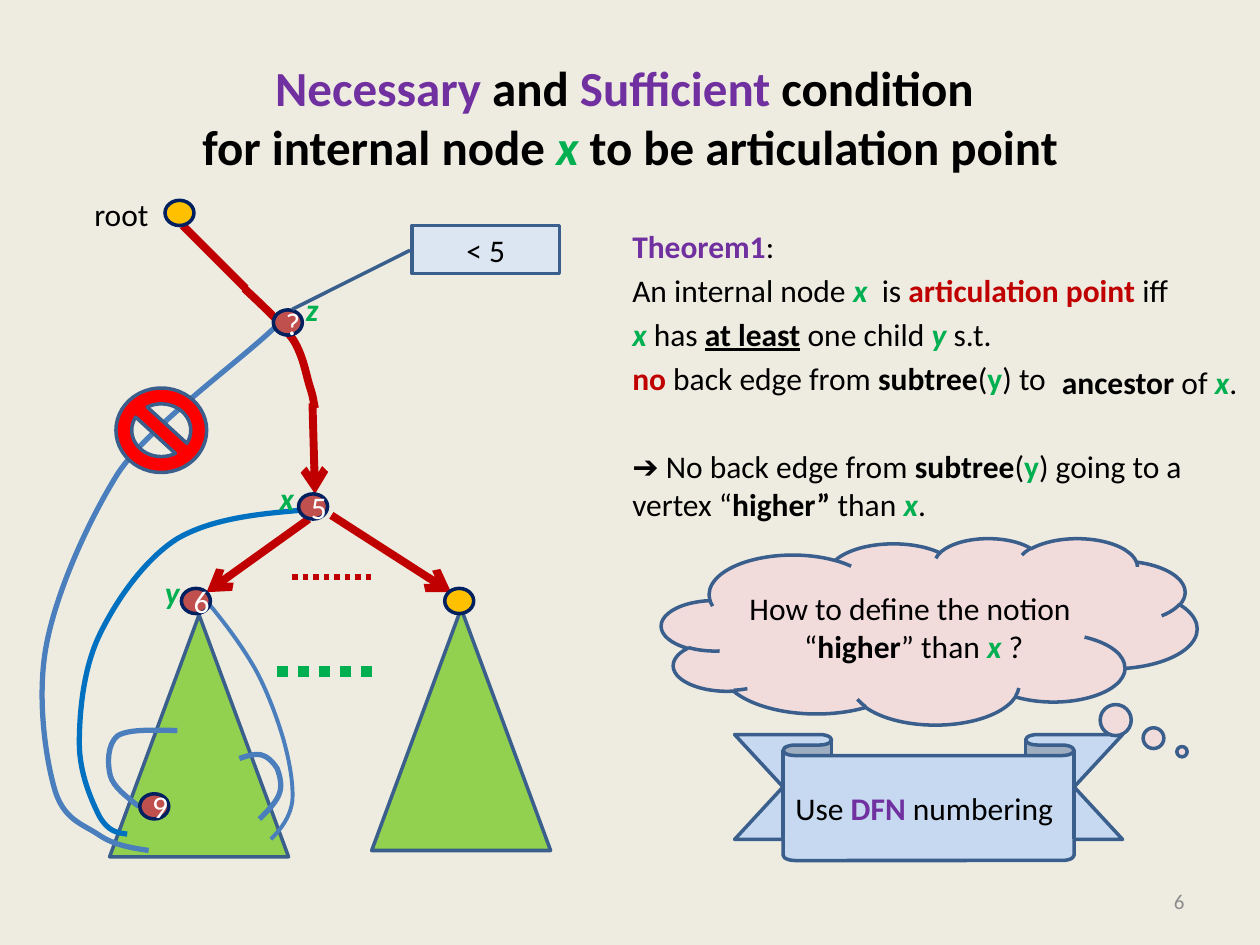
from lxml import etree
from pptx import Presentation
from pptx import util as u
from pptx.dml.color import RGBColor
from pptx.enum import dml, shapes, text
from pptx.oxml.ns import qn

THEME = {
    "font": "Calibri",
    "size": {"title": 28, "body": 18, "number": 12},
    "paper": "EEECE1", "black": "000000", "white": "FFFFFF", "grey": "8C8C8C",
    "purple": "7030A0", "green": "00B050", "red": "C00000", "sign": "FF0000",
    "outline": "3A5F8C", "navy": "002060", "gold": "FFC000", "brick": "C0504D",
    "leaf": "92D050", "back": "4B7EBC", "blue": "0070C0",
    "ribbon": "C6D9F1", "cloud": "F2DCDB", "callout": "DCE6F2",
}
# Run styles: colour, bold, italic, underline
STYLES = {
    "plain": ("black", False, False, False),
    "bold": ("black", True, False, False),
    "under": ("black", True, False, True),
    "vertex": ("green", True, True, False),
    "child": ("green", True, False, False),
    "key": ("purple", True, False, False),
    "alert": ("red", True, False, False),
    "light": ("white", False, False, False),
    "faint": ("grey", False, False, False),
}
ALIGN = {"left": text.PP_ALIGN.LEFT, "center": text.PP_ALIGN.CENTER,
         "right": text.PP_ALIGN.RIGHT}
SHAPE = shapes.MSO_SHAPE

TITLE = [[("Necessary ", "key"), ("and", "bold"), (" Sufficient ", "key"),
          ("condition \vfor internal node ", "bold"), ("x ", "vertex"),
          ("to be articulation point", "bold")]]
SUBTREE = [(" back edge from ", "plain"), ("subtree", "bold"), ("(", "plain"), ("y", "child")]
THEOREM = [
    [("Theorem1", "key"), (":  ", "plain")],
    [("An internal node ", "plain"), ("x  ", "vertex"), ("is ", "plain"),
     ("articulation point ", "alert"), ("iff", "plain")],
    [("x", "vertex"), (" has ", "plain"), ("at least", "under"),
     (" one child ", "plain"), ("y ", "vertex"), ("s.t. ", "plain")],
    [("no", "alert"), *SUBTREE, (") to", "plain")],
    [("➔ No", "plain"), *SUBTREE, (") going to a vertex “", "plain"),
     ("higher”", "bold"), (" than ", "plain"), ("x", "vertex"), (".", "plain")],
]
ANCESTOR = [[("ancestor", "bold"), (" of ", "plain"), ("x", "vertex"), (".", "plain")]]
QUESTION = [[("How to define the notion  “", "plain"), ("higher", "bold"),
             ("” than ", "plain"), ("x ", "vertex"), ("?", "plain")]]
ANSWER = [[("Use ", "plain"), ("DFN ", "key"), ("numbering", "plain")]]

NODE = (0.23, 0.2)
SUBTREE_SIZE = (1.42, 1.92)
SUBTREES = [(0.87, 4.88), (2.95, 4.83)]
PLAIN_NODES = [(1.31, 1.59), (3.53, 4.67)]
NUMBERED_NODES = [("9", 1.11, 6.3), ("6", 1.44, 4.67), ("5", 2.37, 3.92), ("?", 2.17, 2.46)]
LABELS = [("root", "plain", 0.65, 1.5, 0.64), ("x", "vertex", 2.12, 3.75, 0.32),
          ("y", "vertex", 1.21, 4.5, 0.32), ("z", "vertex", 2.33, 2.25, 0.3)]
# Start, end, colour, width, arrow, dotted
EDGES = [
    ((2.48, 3.2), (2.5, 3.92), "red", 4.5, True, False),
    ((1.45, 1.79), (1.95, 2.29), "red", 4.5, False, False),
    ((2.45, 4.12), (1.64, 4.7), "red", 4.5, True, False),
    ((2.63, 4.09), (3.58, 4.7), "red", 4.5, True, False),
    ((2.32, 4.58), (2.95, 4.58), "red", 3, False, True),
    ((2.2, 5.33), (3.01, 5.33), "green", 6, False, True),
]
# Colour, width, rotation, start point followed by three points per Bezier segment
TREE_PATH = ("red", 4.5, 0, [
    (1.94, 2.29), (2.09, 2.43), (2.24, 2.57), (2.33, 2.7), (2.41, 2.83), (2.43, 2.98),
    (2.46, 3.07), (2.49, 3.16), (2.49, 3.2), (2.5, 3.24)])
BACK_EDGES = [
    ("back", 3, 3.5, [
        (1.12, 6.4), (1.02, 6.33), (0.91, 6.26), (0.88, 6.17), (0.85, 6.08), (0.84, 5.92),
        (0.92, 5.85), (1.01, 5.79), (1.2, 5.79), (1.39, 5.78)]),
    ("back", 3, 0, [
        (2.06, 6.5), (2.13, 6.43), (2.2, 6.36), (2.22, 6.29), (2.24, 6.23), (2.22, 6.15),
        (2.2, 6.1), (2.17, 6.05), (2.12, 6), (2.07, 5.99), (2.02, 5.98), (1.96, 6),
        (1.9, 6.02)]),
    ("back", 2.25, 0, [
        (2.15, 6.66), (2.23, 6.58), (2.3, 6.49), (2.32, 6.36), (2.33, 6.23), (2.3, 6.05),
        (2.25, 5.87), (2.2, 5.7), (2.12, 5.48), (2.02, 5.3), (1.91, 5.11), (1.78, 4.94),
        (1.64, 4.77)]),
    ("blue", 3, 0, [
        (1.01, 6.62), (0.93, 6.61), (0.86, 6.6), (0.79, 6.48), (0.73, 6.36), (0.63, 6.14),
        (0.63, 5.9), (0.63, 5.66), (0.66, 5.31), (0.79, 5.04), (0.92, 4.77), (1.14, 4.45),
        (1.4, 4.28), (1.67, 4.12), (2.03, 4.08), (2.39, 4.05)]),
    ("back", 3, 0, [
        (1.18, 6.75), (1.05, 6.73), (0.91, 6.71), (0.79, 6.63), (0.66, 6.54), (0.5, 6.51),
        (0.43, 6.25), (0.36, 6), (0.29, 5.52), (0.37, 5.11), (0.45, 4.7), (0.68, 4.18),
        (0.91, 3.8), (1.13, 3.42), (1.89, 2.88), (2.19, 2.59)]),
]


def color(name):
    """Return a theme colour."""
    return RGBColor.from_string(THEME[name])


def write(shape, paragraphs, size="body", align="left", anchor="MIDDLE", wrap=True, before=0):
    """Fill a shape with paragraphs of styled runs."""
    frame = shape.text_frame
    frame.word_wrap = wrap
    frame.auto_size = text.MSO_AUTO_SIZE.NONE if wrap else text.MSO_AUTO_SIZE.SHAPE_TO_FIT_TEXT
    frame.vertical_anchor = text.MSO_ANCHOR[anchor]
    for index, runs in enumerate(paragraphs):
        paragraph = frame.add_paragraph() if index else frame.paragraphs[0]
        paragraph.alignment = ALIGN[align]
        paragraph.space_before = u.Pt(before)
        for content, style in runs:
            for part, piece in enumerate(content.split("\v")):
                if part:
                    paragraph.add_line_break()
                run = paragraph.add_run()
                run.text = piece
                font = run.font
                font.name, font.size = THEME["font"], u.Pt(THEME["size"][size])
                name, font.bold, font.italic, font.underline = STYLES[style]
                font.color.rgb = color(name)


def add_text(slide, box, paragraphs, **form):
    """Add a text box."""
    shape = slide.shapes.add_textbox(*map(u.Inches, box))
    write(shape, paragraphs, **form)
    return shape


def add_shape(slide, kind, box, fill, line="outline", adjust=()):
    """Add a filled preset shape."""
    shape = slide.shapes.add_shape(kind, *map(u.Inches, box))
    shape.shadow.inherit = False
    shape.fill.solid()
    shape.fill.fore_color.rgb = color(fill)
    shape.line.color.rgb, shape.line.width = color(line), u.Pt(2)
    for index, value in enumerate(adjust):
        shape.adjustments[index] = value
    return shape


def add_edge(slide, start, end, line, width, arrow, dotted):
    """Add a straight tree edge or a dotted ellipsis."""
    edge = slide.shapes.add_connector(shapes.MSO_CONNECTOR.STRAIGHT,
                                      *map(u.Inches, start + end))
    edge.line.color.rgb, edge.line.width = color(line), u.Pt(width)
    if dotted:
        edge.line.dash_style = dml.MSO_LINE.ROUND_DOT
    if arrow:
        etree.SubElement(edge.line._get_or_add_ln(), qn("a:tailEnd"), type="arrow")
    etree.SubElement(edge._element.spPr, qn("a:effectLst"))


def add_curve(slide, line, width, rotation, points):
    """Add an open Bezier curve, turning each three line steps into one segment."""
    start, *rest = [tuple(map(u.Inches, point)) for point in points]
    builder = slide.shapes.build_freeform(*start)
    builder.add_line_segments(rest, close=False)
    curve = builder.convert_to_shape()
    curve.shadow.inherit = False
    curve.fill.background()
    curve.line.color.rgb, curve.line.width = color(line), u.Pt(width)
    curve.rotation = rotation
    steps = list(curve._element.iter(qn("a:lnTo")))
    outline = steps[0].getparent()
    for index in range(0, len(steps), 3):
        segment = etree.SubElement(outline, qn("a:cubicBezTo"))
        for step in steps[index:index + 3]:
            segment.append(step[0])
            outline.remove(step)


def build():
    """Build and save the slide."""
    presentation = Presentation()
    presentation.slide_width, presentation.slide_height = u.Inches(10), u.Inches(7.5)
    slide = presentation.slides.add_slide(presentation.slide_layouts[5])
    slide.background.fill.solid()
    slide.background.fill.fore_color.rgb = color("paper")
    title = slide.shapes.title
    title.left, title.top, title.width, title.height = map(u.Inches, (0.5, 0.3, 9, 1.25))
    write(title, TITLE, size="title", align="center")

    theorem = add_text(slide, (4.92, 1.75, 4.83, 4.95), THEOREM, anchor="TOP", before=3.6)
    theorem.text_frame.paragraphs[-1].space_before = u.Pt(28.7)
    add_text(slide, (7.17, 6.95, 2.33, 0.4), [[("6", "faint")]], size="number", align="right")

    for corner in SUBTREES:
        add_shape(slide, SHAPE.ISOSCELES_TRIANGLE, corner + SUBTREE_SIZE, "leaf")
    for edge in EDGES:
        add_edge(slide, *edge)
    for curve in [TREE_PATH, *BACK_EDGES]:
        add_curve(slide, *curve)
    for corner in PLAIN_NODES:
        add_shape(slide, SHAPE.OVAL, corner + NODE, "gold", "navy")
    for label, style, left, top, width in LABELS:
        add_text(slide, (left, top, width, 0.4), [[(label, style)]], anchor="TOP", wrap=False)

    add_shape(slide, SHAPE.NO_SYMBOL, (0.92, 3.08, 0.72, 0.67), "sign")
    ribbon = add_shape(slide, SHAPE.DOWN_RIBBON, (5.83, 5.83, 3.08, 1), "ribbon",
                       adjust=(0.167, 0.75))
    write(ribbon, ANSWER)
    for number, left, top in NUMBERED_NODES:
        node = add_shape(slide, SHAPE.OVAL, (left, top) + NODE, "brick", "navy")
        write(node, [[(number, "light")]], align="center")
    cloud = add_shape(slide, SHAPE.CLOUD_CALLOUT, (5.25, 4.27, 4.25, 1.48), "cloud",
                      adjust=(0.472, 0.646))
    write(cloud, QUESTION, align="center")
    callout = add_shape(slide, SHAPE.LINE_CALLOUT_1, (3.27, 1.79, 1.17, 0.38), "callout",
                        adjust=(0.519, -0.014, 1.75, -0.812))
    write(callout, [[("< 5", "plain")]], align="center")
    add_text(slide, (8.33, 2.83, 1.6, 0.4), ANCESTOR, anchor="TOP", wrap=False)
    presentation.save("out.pptx")


build()
